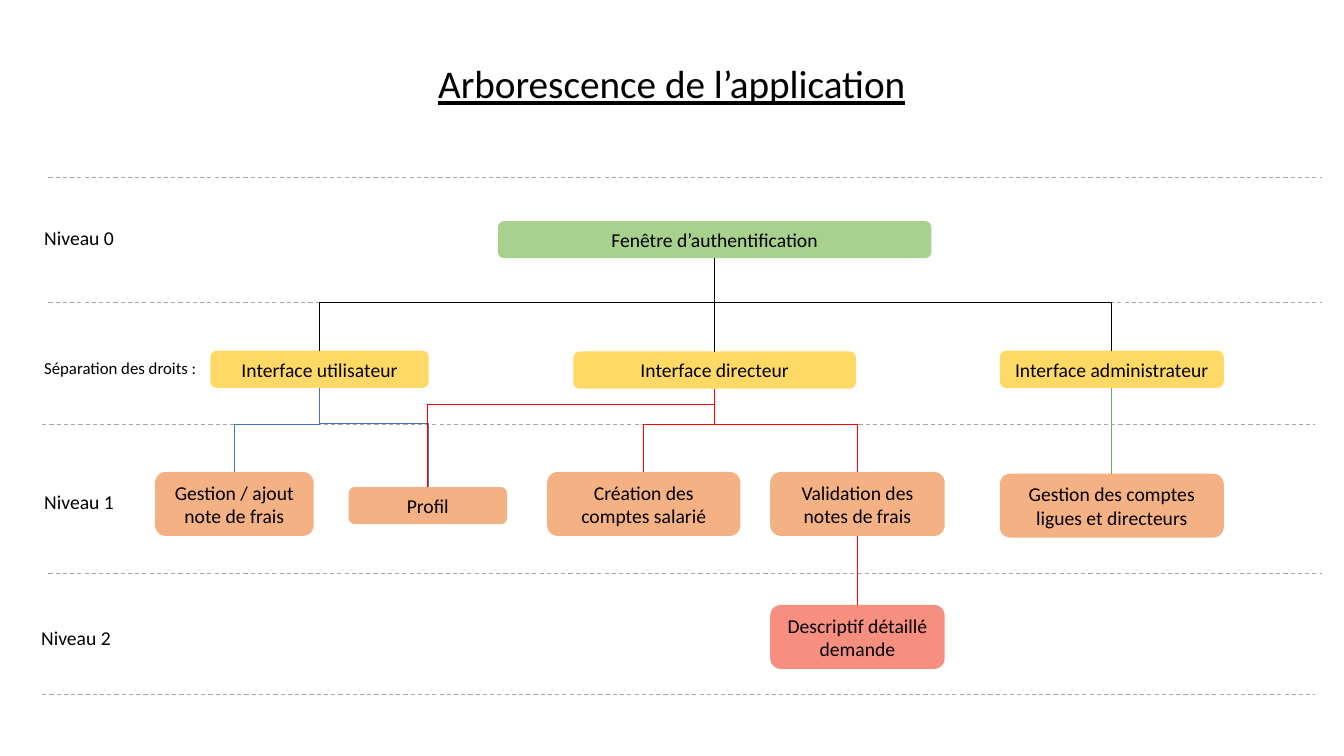
"""Build the application tree slide: title, levels, boxes and links."""
from dataclasses import dataclass

from lxml import etree
from pptx import Presentation
from pptx.dml.color import RGBColor
from pptx.enum import dml, shapes, text
from pptx.oxml import ns
from pptx.util import Pt


@dataclass(frozen=True)
class Theme:
    """Colours, font and type sizes."""
    font: str = "Calibri"
    title: int = 28
    body: int = 14
    small: int = 12
    ink: str = "000000"
    rule: str = "A5A5A5"
    green: str = "A9D18E"
    yellow: str = "FFD966"
    orange: str = "F4B183"
    coral: str = "F78F81"
    user: str = "4472C4"
    director: str = "FF0000"
    admin: str = "70AD47"


TOP, BOTTOM = 0, 2  # connection sites of a rounded rectangle


class Slide:
    """The current slide and the style it is drawn in."""

    def __init__(self, prs, theme):
        """Add a title-only slide."""
        self.theme = theme
        self.s = prs.slides.add_slide(prs.slide_layouts[5])

    def set_text(self, sp, words, size, align, anchor, fit):
        """Fill a shape with one formatted paragraph."""
        tf = sp.text_frame
        tf.text = words
        tf.word_wrap = True
        tf.auto_size = fit
        tf.vertical_anchor = anchor
        p = tf.paragraphs[0]
        p.alignment = align
        p.font.name, p.font.size = self.theme.font, Pt(size)
        p.font.color.rgb = RGBColor.from_string(self.theme.ink)
        return p

    def title(self, words, x, y, w, h):
        """Move and format the title placeholder."""
        sp = self.s.shapes.title
        sp.left, sp.top, sp.width, sp.height = Pt(x), Pt(y), Pt(w), Pt(h)
        p = self.set_text(sp, words, self.theme.title, text.PP_ALIGN.CENTER,
                          text.MSO_ANCHOR.TOP, text.MSO_AUTO_SIZE.NONE)
        p.font.underline = True

    def label(self, words, x, y, w, h, size):
        """Add a level name at the left."""
        sp = self.s.shapes.add_textbox(Pt(x), Pt(y), Pt(w), Pt(h))
        self.set_text(sp, words, size, text.PP_ALIGN.LEFT, text.MSO_ANCHOR.TOP,
                      text.MSO_AUTO_SIZE.SHAPE_TO_FIT_TEXT)

    def box(self, words, center, middle, w, h, fill):
        """Add a rounded box around a centre point."""
        sp = self.s.shapes.add_shape(
            shapes.MSO_SHAPE.ROUNDED_RECTANGLE,
            Pt(center - w / 2), Pt(middle - h / 2), Pt(w), Pt(h))
        sp.shadow.inherit = False
        sp.fill.solid()
        sp.fill.fore_color.rgb = RGBColor.from_string(fill)
        sp.line.fill.background()
        self.set_text(sp, words, self.theme.body, text.PP_ALIGN.CENTER,
                      text.MSO_ANCHOR.MIDDLE, text.MSO_AUTO_SIZE.SHAPE_TO_FIT_TEXT)
        return sp

    def connector(self, kind, color, weight, x1=0, y1=0, x2=0, y2=0):
        """Add a connector without shadow."""
        c = self.s.shapes.add_connector(kind, Pt(x1), Pt(y1), Pt(x2), Pt(y2))
        c.line.color.rgb = RGBColor.from_string(color)
        c.line.width = Pt(weight)
        etree.SubElement(c._element.spPr, ns.qn("a:effectLst"))
        return c

    def separator(self, x, y, length):
        """Add a dashed line between levels."""
        c = self.connector(shapes.MSO_CONNECTOR.STRAIGHT, self.theme.rule,
                           0.75, x, y, x + length, y)
        c.line.dash_style = dml.MSO_LINE.DASH

    def link(self, parent, child, color, bend=None):
        """Join parent to child, straight or turning at height bend."""
        kinds = shapes.MSO_CONNECTOR
        c = self.connector(kinds.ELBOW if bend else kinds.STRAIGHT, color, 0.5)
        c.begin_connect(parent, BOTTOM)
        c.end_connect(child, TOP)
        if bend:
            self.turn(c, bend)

    def turn(self, c, bend):
        """Rotate an elbow so that it leaves downwards and bends as asked."""
        x1, y1, x2, y2 = c.begin_x, c.begin_y, c.end_x, c.end_y
        drop, run = y2 - y1, abs(x2 - x1)
        c.left, c.top = (x1 + x2 - drop) // 2, (y1 + y2 - run) // 2
        c.width, c.height = drop, run
        xfrm = c._element.spPr.xfrm
        rightward = x2 > x1
        xfrm.set("rot", str((270 if rightward else 90) * 60000))
        xfrm.set("flipH", str(int(rightward)))
        geom = c._element.spPr.find(ns.qn("a:prstGeom"))
        guides = geom.find(ns.qn("a:avLst"))
        if guides is None:
            guides = etree.SubElement(geom, ns.qn("a:avLst"))
        share = round((Pt(bend) - y1) / drop * 100000)
        etree.SubElement(guides, ns.qn("a:gd"), name="adj1", fmla=f"val {share}")


def main():
    """Draw the slide and save it."""
    prs = Presentation()
    prs.slide_width, prs.slide_height = Pt(960), Pt(540)
    t = Theme()
    s = Slide(prs, t)
    s.title("Arborescence de l’application", 289.4, 38.9, 380.9, 41)

    for x, y in ((34.6, 126.7), (34.6, 216), (30.2, 303.1),
                 (34.6, 409.7), (30.2, 496.1)):
        s.separator(x, y, 909.4)

    for words, x, y, w, h, size in (
            ("Niveau 0", 24.5, 157.7, 128, 24.2, t.body),
            ("Séparation des droits :", 24.5, 252, 155.5, 21.8, t.small),
            ("Niveau 1", 24.5, 346.3, 128, 24.2, t.body),
            ("Niveau 2", 22.3, 443.5, 128, 24.2, t.body)):
        s.label(words, x, y, w, h, size)

    one, two = 26.6, 45.7  # box heights for one and two lines
    director_x, admin_x, validation_x = 510.5, 794.2, 612.5
    login = s.box("Fenêtre d’authentification", director_x, 171.2, 309.6, one, t.green)
    user = s.box("Interface utilisateur", 228.3, 263.8, 155.9, one, t.yellow)
    director = s.box("Interface directeur", director_x, 264.4, 201.9, one, t.yellow)
    admin = s.box("Interface administrateur", admin_x, 263.8, 160, one, t.yellow)
    profile = s.box("Profil", 305.6, 361.2, 113.2, one, t.orange)
    expenses = s.box("Gestion / ajout note de frais", 167.4, 360, 113.2, two, t.orange)
    creation = s.box("Création des comptes salarié", 459.9, 360, 138, two, t.orange)
    validation = s.box("Validation des notes de frais", validation_x, 360,
                       124.6, two, t.orange)
    accounts = s.box("Gestion des comptes ligues et directeurs", admin_x, 361.2,
                     160, two, t.orange)
    detail = s.box("Descriptif détaillé demande", validation_x, 455, 124.6, two, t.coral)

    for parent, child, color, bend in (
            (user, profile, t.user, 302.6),
            (user, expenses, t.user, 303.1),
            (director, creation, t.director, 303.1),
            (director, validation, t.director, 303.1),
            (login, user, t.ink, 216),
            (login, director, t.ink, None),
            (login, admin, t.ink, 216),
            (director, profile, t.director, 289),
            (validation, detail, t.director, None),
            (admin, accounts, t.admin, None)):
        s.link(parent, child, color, bend)

    prs.save("out.pptx")


main()
